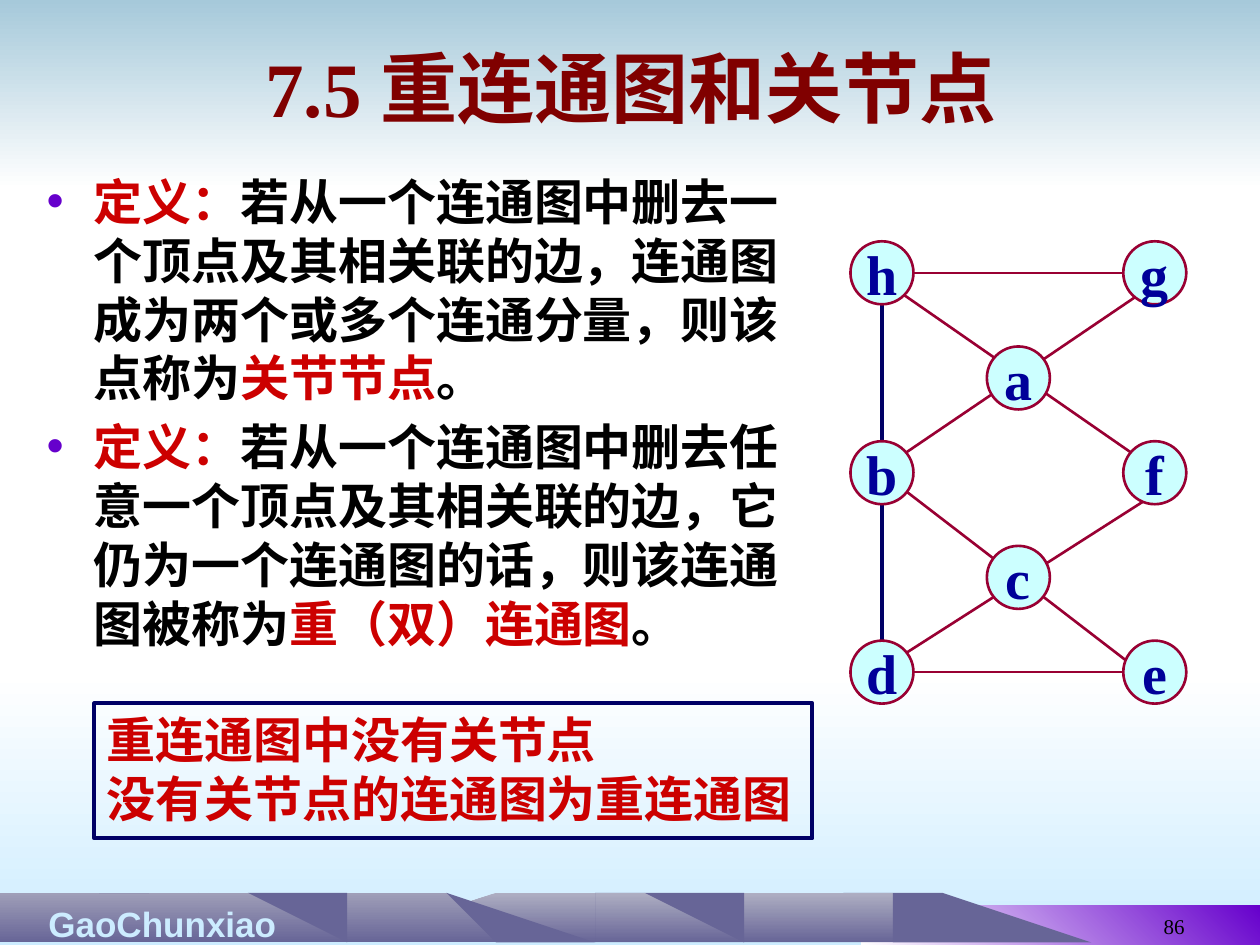
import pptx
import pptx.util
import pptx.dml.color
import pptx.enum.shapes
import pptx.enum.text
import pptx.oxml
import pptx.oxml.ns
from pptx.util import Cm, Pt

HUES = {
    "white": "FFFFFF", "black": "000000", "sky": "A6C9DA", "ice": "CCECFF",
    "violet": "6600CC", "rock": "676597", "mist": "AEAEC2", "haze": "9F9EB8",
    "maroon": "800000", "red": "CC0000", "navy": "000066", "ink": "000099",
    "wine": "990033", "aqua": "CCFFFF",
}
SERIF, SANS = "Times New Roman", "Arial"
SHAPE = pptx.enum.shapes.MSO_SHAPE
ALIGN = pptx.enum.text.PP_ALIGN
ANCHOR = pptx.enum.text.MSO_ANCHOR
WIDE, HIGH = 25.4, 19.05

# Content
TITLE = "7.5 重连通图和关节点"
TERMS = [
    [("定义：", "red"),
     ("若从一个连通图中删去一个顶点及其相关联的边，连通图成为两个或多个连通分量，则该点称为", "black"),
     ("关节节点", "red"), ("。", "black")],
    [("定义：", "red"),
     ("若从一个连通图中删去任意一个顶点及其相关联的边，它仍为一个连通图的话，则该连通图被称为", "black"),
     ("重（双）连通图", "red"), ("。", "black")],
]
NOTES = [[("重连通图中没有关节点", "red")], [("没有关节点的连通图为重连通图", "red")]]

# Graph, in cm: node centres sit on three columns and five rows
COLS = [17.78, 20.53, 23.28]
ROWS = [5.5, 7.62, 9.53, 11.64, 13.55]
SIZE = 1.27
NODES = {"a": (1, 1), "h": (0, 0), "g": (2, 0), "c": (1, 3),
         "b": (0, 2), "f": (2, 2), "d": (0, 4), "e": (2, 4)}
CROSS = [(23.28, 9.96, 17.99, 13.34), (17.78, 9.53, 23.28, 13.76),
         (23.28, 5.72, 17.99, 9.31), (18.2, 5.93, 23.07, 9.31)]
FLAT = [(COLS[0] + SIZE / 2, y, COLS[2] - SIZE / 2, y) for y in (ROWS[0], ROWS[4])]

# Gradient bands: left, top, width, height, two colours, angle
BANDS = [(0, 13.55, WIDE, 5.5, ("white", "ice"), 270),
         (0, 0, WIDE, 3.81, ("sky", "white"), 270),
         (17.35, 18.26, 8.05, 0.79, ("white", "violet"), 45)]

# Mountains: fill and corners in cm
HILLS = [
    (("mist", "rock"), [
        (6.55, HIGH), (10, 18.26), (11.94, 17.93), (12.34, 18.11), (13.44, 18.14),
        (14.38, 18.42), (17.4, 17.93), (18.36, 18.42), (20.83, HIGH)]),
    ("rock", [
        (17.4, 17.93), (18.64, 18.49), (21.79, HIGH), (20.12, HIGH), (18.29, 18.67),
        (17.6, 18.87), (17.73, 18.47)]),
    ("rock", [(11.96, 17.93), (12.62, 18.08), (12.04, 18.49), (11.81, 18.8), (11.89, 18.11)]),
    ("rock", [(13.44, 18.14), (15.04, 18.31), (14.73, 18.75), (13.36, 18.24)]),
    (("haze", "rock"), [
        (0, HIGH), (0, 18.31), (1.73, 17.96), (2.39, 18.08), (4.06, 18.08), (5.3, 17.93),
        (6.6, 18.16), (7.52, 18.16), (8.41, 17.98), (9, 18.01), (10.97, 18.59),
        (17.53, HIGH)]),
    ("rock", [(5.38, 17.91), (6.88, 18.21), (6.78, 18.54), (5.28, 18.06)]),
    ("rock", [
        (8.61, 18.03), (9.4, 18.03), (11.56, 18.52), (17.53, HIGH), (11.99, 18.77),
        (10.34, 18.77), (9.22, 18.34), (8.56, 18.26)]),
    ("rock", [(3.76, 18.03), (4.27, 18.06), (4.47, 18.39)]),
    ("rock", [(1.75, 17.98), (2.82, 18.06), (2.54, 18.42), (1.96, 18.14)]),
]


def hue(name):
    return pptx.dml.color.RGBColor.from_string(HUES[name])


def paint(shape, fill=None, line=None, width=1.5, angle=270):
    """Fill with one colour, a pair for a gradient, or nothing."""
    shape.shadow.inherit = False
    if fill is None:
        shape.fill.background()
    elif isinstance(fill, tuple):
        shape.fill.gradient()
        shape.fill.gradient_angle = angle
        for stop, name in zip(shape.fill.gradient_stops, fill):
            stop.color.rgb = hue(name)
    else:
        shape.fill.solid()
        shape.fill.fore_color.rgb = hue(fill)
    if line:
        shape.line.color.rgb = hue(line)
        shape.line.width = Pt(width)
    else:
        shape.line.fill.background()


def dot(para):
    """Hanging bullet."""
    props = para._p.get_or_add_pPr()
    props.set("marL", str(Cm(0.95)))
    props.set("indent", str(-Cm(0.95)))
    space = pptx.oxml.ns.nsdecls("a")
    for tag in (f'<a:buClr {space}><a:srgbClr val="{HUES["violet"]}"/></a:buClr>',
                f'<a:buFont {space} typeface="Arial"/>',
                f'<a:buChar {space} char="•"/>'):
        props.append(pptx.oxml.parse_xml(tag))


def write(shape, paras, size=28, font=SERIF, bold=True, align=ALIGN.LEFT,
          anchor=ANCHOR.TOP, wrap=True, bullet=False, gap=0):
    frame = shape.text_frame
    frame.word_wrap = wrap
    frame.auto_size = pptx.enum.text.MSO_AUTO_SIZE.NONE
    frame.vertical_anchor = anchor
    for i, runs in enumerate(paras):
        para = frame.add_paragraph() if i else frame.paragraphs[0]
        if bullet:
            dot(para)
        para.alignment = align
        para.space_before = Pt(gap if i else 0)
        for text, name in runs:
            run = para.add_run()
            run.text = text
            run.font.name, run.font.size, run.font.bold = font, Pt(size), bold
            run.font.color.rgb = hue(name)


def main():
    deck = pptx.Presentation()
    deck.slide_width, deck.slide_height = Cm(WIDE), Cm(HIGH)
    slide = deck.slides.add_slide(deck.slide_layouts[5])
    shapes = slide.shapes
    title = shapes.title

    def box(*spot):
        return shapes.add_textbox(*map(Cm, spot))

    def link(ends, name, width):
        line = shapes.add_connector(
            pptx.enum.shapes.MSO_CONNECTOR.STRAIGHT, *map(Cm, ends))
        line.line.color.rgb = hue(name)
        line.line.width = Pt(width)
        line._element.spPr.append(
            pptx.oxml.parse_xml(f'<a:effectLst {pptx.oxml.ns.nsdecls("a")}/>'))

    # Backdrop
    for *spot, fill, angle in BANDS:
        paint(shapes.add_shape(SHAPE.RECTANGLE, *map(Cm, spot)), fill, angle=angle)
    for fill, points in HILLS:
        pen = shapes.build_freeform(*points[0], scale=Cm(1))
        pen.add_line_segments(points[1:])
        paint(pen.convert_to_shape(), fill)

    # Footer
    write(box(0, 18.06, 6.55, 0.99), [[("GaoChunxiao", "ice")]],
          size=20, font=SANS, align=ALIGN.CENTER)
    write(box(18.21, 17.78, 5.92, 1.27), [[("86", "black")]],
          size=12, bold=False, align=ALIGN.RIGHT, anchor=ANCHOR.BOTTOM)

    # Title, moved in front of the backdrop
    shapes._spTree.append(title._element)
    title.left, title.top, title.width, title.height = map(Cm, (1.3, 0.33, 22.86, 2.84))
    write(title, [[(TITLE, "maroon")]], size=44, align=ALIGN.CENTER, anchor=ANCHOR.MIDDLE)

    # Definitions
    write(box(0.69, 3.33, 15.6, 14.4), TERMS, bullet=True, gap=5.6)

    # Graph: edges behind nodes
    link((COLS[0], ROWS[0], COLS[0], ROWS[4] - 0.21), "navy", 2.25)
    for ends in CROSS + FLAT:
        link(ends, "wine", 1.5)
    for name, (col, row) in NODES.items():
        spot = COLS[col] - SIZE / 2, ROWS[row] - SIZE / 2, SIZE, SIZE
        node = shapes.add_shape(SHAPE.OVAL, *map(Cm, spot))
        paint(node, "aqua", "wine")
        write(node, [[(name, "ink")]], size=32, align=ALIGN.CENTER,
              anchor=ANCHOR.MIDDLE, wrap=False)

    # Framed summary
    frame = shapes.add_shape(SHAPE.RECTANGLE, Cm(1.9), Cm(14.18), Cm(14.48), Cm(2.72))
    paint(frame, None, "navy", 2.25)
    write(frame, NOTES)

    deck.save("out.pptx")


if __name__ == "__main__":
    main()
